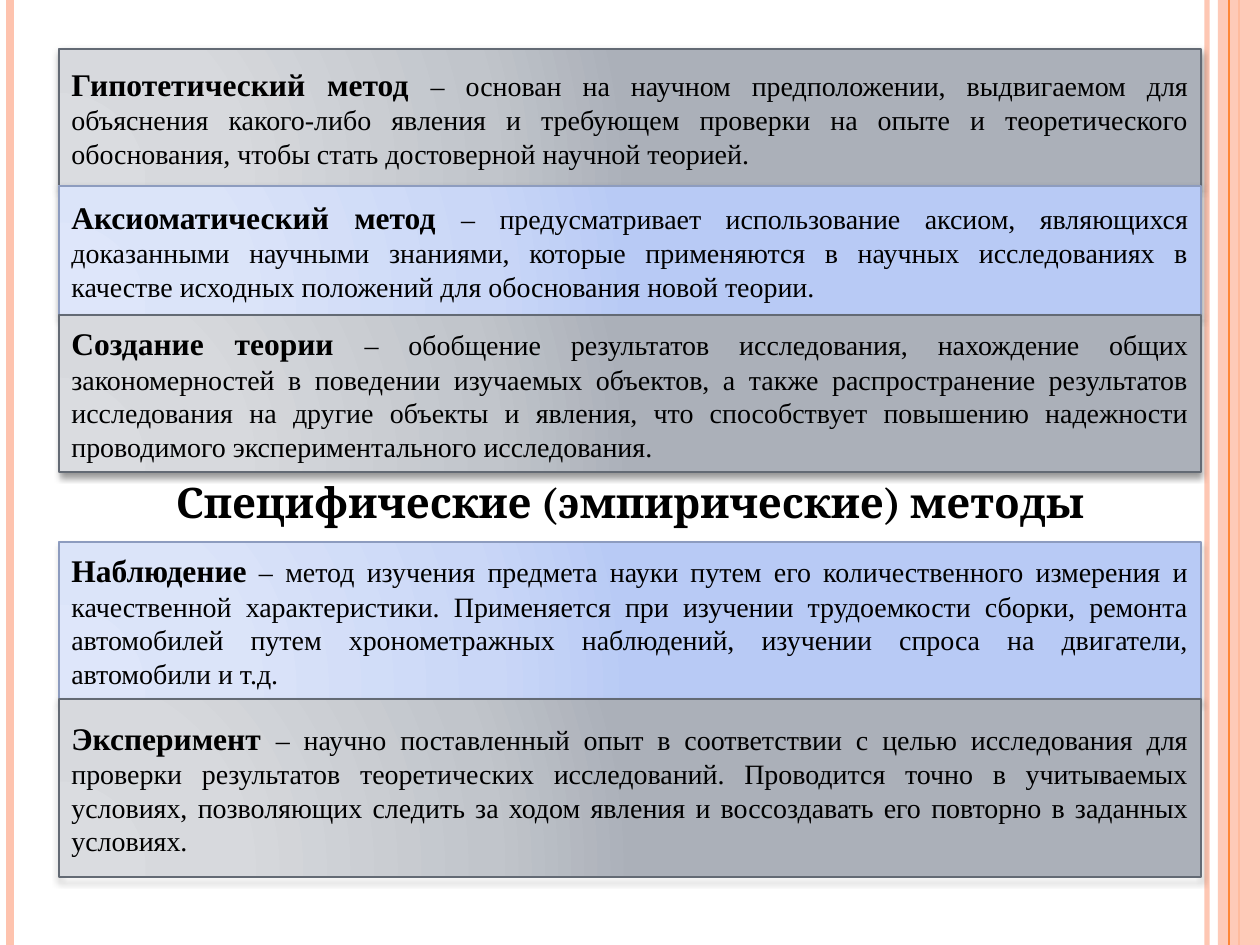
from dataclasses import dataclass

from lxml import etree
from pptx import Presentation
from pptx.dml.color import RGBColor
from pptx.enum.shapes import MSO_CONNECTOR, MSO_SHAPE
from pptx.enum.text import MSO_ANCHOR, PP_ALIGN
from pptx.oxml.ns import qn
from pptx.util import Pt

STRAIGHT = MSO_CONNECTOR.STRAIGHT
RECTANGLE = MSO_SHAPE.RECTANGLE
MIDDLE = MSO_ANCHOR.MIDDLE
CENTER, JUSTIFY = PP_ALIGN.CENTER, PP_ALIGN.JUSTIFY

SLIDE_W, SLIDE_H = 1260, 945
BLOCK_LEFT, BLOCK_W = 59, 1142


@dataclass(frozen=True)
class Palette:
    stops: tuple
    outline: str


@dataclass(frozen=True)
class Theme:
    gray: Palette = Palette(
        ((0, "DADCE0"), (30, "D7D9DD"), (75, "C1C5CB"), (100, "ABB0B9")), "636A74")
    blue: Palette = Palette(
        ((0, "DEE6FA"), (30, "DBE4F9"), (75, "CAD7F7"), (100, "B8CAF5")), "8D9CBF")
    peach: str = "FEC3AE"
    orange: str = "FE8637"
    text: str = "000000"
    body_font: str = "Times New Roman"
    heading_font: str = "Cambria"
    heading_size: int = 24
    term_size: int = 18
    body_size: int = 16


THEME = Theme()

# top, height, palette, term, definition
METHODS = [
    (49, 137, THEME.gray, "Гипотетический метод ",
     "– основан на научном предположении, выдвигаемом для объяснения какого-либо "
     "явления и требующем проверки на опыте и теоретического обоснования, чтобы "
     "стать достоверной научной теорией."),
    (186, 129, THEME.blue, "Аксиоматический метод ",
     "– предусматривает использование аксиом, являющихся доказанными научными "
     "знаниями, которые применяются в научных исследованиях в качестве исходных "
     "положений для обоснования новой теории. "),
    (315, 157, THEME.gray, "Создание теории ",
     "– обобщение результатов исследования, нахождение общих закономерностей в "
     "поведении изучаемых объектов, а также распространение результатов "
     "исследования на другие объекты и явления, что способствует повышению "
     "надежности проводимого экспериментального исследования."),
    (542, 157, THEME.blue, "Наблюдение",
     " – метод изучения предмета науки путем его количественного измерения и "
     "качественной характеристики. Применяется при изучении трудоемкости сборки, "
     "ремонта автомобилей путем хронометражных наблюдений, изучении спроса на "
     "двигатели, автомобили и т.д."),
    (699, 178, THEME.gray, "Эксперимент ",
     "– научно поставленный опыт в соответствии с целью исследования для проверки "
     "результатов теоретических исследований. Проводится точно в учитываемых "
     "условиях, позволяющих следить за ходом явления и воссоздавать его повторно "
     "в заданных условиях."),
]
HEADING = (462, 79, "Специфические (эмпирические) методы")

# x, width in points, colour, opacity in percent
STRIPES = [
    (1207, 3, THEME.peach, 93),
    (10, 4.5, THEME.peach, 100),
    (1239, 1.5, THEME.orange, 100),
]
BAND = (1218, 42, THEME.peach, 87)
BAND_STRIPE = (1229, 0.75, THEME.orange, 100)


def px(length):
    return round(length * 914400 / 126)


def child(parent, tag, **attributes):
    node = etree.SubElement(parent, qn(tag))
    for key, value in attributes.items():
        node.set(key, str(value))
    return node


def set_opacity(shape, percent):
    if percent < 100:
        for color in shape._element.spPr.iter(qn("a:srgbClr")):
            child(color, "a:alpha", val=percent * 1000)


def add_stripe(slide, x, width, color, opacity):
    stripe = slide.shapes.add_connector(STRAIGHT, px(x), 0, px(x), px(SLIDE_H))
    stripe.line.color.rgb = RGBColor.from_string(color)
    stripe.line.width = Pt(width)
    set_opacity(stripe, opacity)
    child(stripe._element.spPr, "a:effectLst")


def add_band(slide, left, width, color, opacity):
    band = slide.shapes.add_shape(RECTANGLE, px(left), 0, px(width), px(SLIDE_H))
    band.shadow.inherit = False
    band.fill.solid()
    band.fill.fore_color.rgb = RGBColor.from_string(color)
    set_opacity(band, opacity)
    band.line.fill.background()


def set_radial_fill(shape, stops):
    shape.fill.background()
    properties = shape._element.spPr
    empty_fill = properties.find(qn("a:noFill"))
    gradient = child(properties, "a:gradFill", rotWithShape=1)
    properties.replace(empty_fill, gradient)
    stop_list = child(gradient, "a:gsLst")
    for position, color in stops:
        stop = child(stop_list, "a:gs", pos=position * 1000)
        child(stop, "a:srgbClr", val=color)
    circle = child(gradient, "a:path", path="circle")
    child(circle, "a:fillToRect", l=5000, t=100000, r=120000, b=10000)


def set_drop_shadow(shape):
    shape.shadow.inherit = False
    effects = shape._element.spPr.find(qn("a:effectLst"))
    shadow = child(effects, "a:outerShdw", blurRad=Pt(4), dist=Pt(2),
                   dir=90 * 60000, rotWithShape=0)
    color = child(shadow, "a:srgbClr", val="000000")
    child(color, "a:alpha", val=40000)


def write(shape, alignment, pieces):
    """Fill the shape with one paragraph of (text, size, font, bold) pieces."""
    frame = shape.text_frame
    frame.word_wrap = True
    frame.vertical_anchor = MIDDLE
    paragraph = frame.paragraphs[0]
    paragraph.alignment = alignment
    for text, size, font, bold in pieces:
        run = paragraph.add_run()
        run.text = text
        run.font.size = Pt(size)
        run.font.name = font
        run.font.bold = bold
        run.font.color.rgb = RGBColor.from_string(THEME.text)


def add_method(slide, top, height, palette, term, definition):
    block = slide.shapes.add_shape(
        RECTANGLE, px(BLOCK_LEFT), px(top), px(BLOCK_W), px(height))
    set_radial_fill(block, palette.stops)
    block.line.color.rgb = RGBColor.from_string(palette.outline)
    block.line.width = Pt(1)
    set_drop_shadow(block)
    write(block, JUSTIFY, [
        (term, THEME.term_size, THEME.body_font, True),
        (definition, THEME.body_size, THEME.body_font, False),
    ])


def add_heading(slide, top, height, text):
    heading = slide.shapes.add_textbox(
        px(BLOCK_LEFT), px(top), px(BLOCK_W), px(height))
    write(heading, CENTER, [(text, THEME.heading_size, THEME.heading_font, True)])


def main():
    deck = Presentation()
    deck.slide_width, deck.slide_height = px(SLIDE_W), px(SLIDE_H)
    slide = deck.slides.add_slide(deck.slide_layouts[6])
    for stripe in STRIPES:
        add_stripe(slide, *stripe)
    add_band(slide, *BAND)
    add_stripe(slide, *BAND_STRIPE)
    for method in METHODS:
        add_method(slide, *method)
    add_heading(slide, *HEADING)
    deck.save("out.pptx")


if __name__ == "__main__":
    main()
